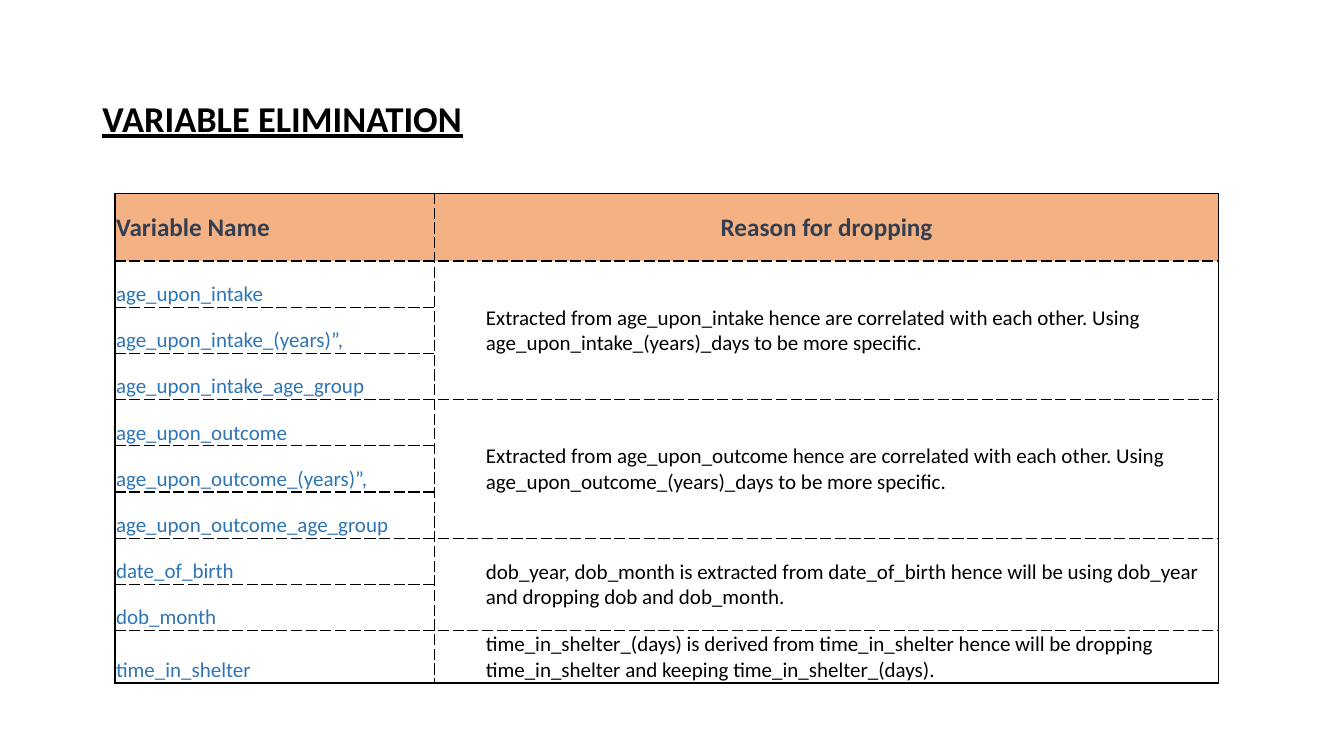
from dataclasses import dataclass

from lxml import etree
from pptx import Presentation
from pptx import util as u
from pptx.dml.color import RGBColor
from pptx.enum import text
from pptx.oxml import ns

Pt = u.Pt
BLACK = RGBColor(0x00, 0x00, 0x00)
BLUE = RGBColor(0x2E, 0x75, 0xB6)
SLATE = RGBColor(0x33, 0x3F, 0x50)
ORANGE = RGBColor(0xF4, 0xB1, 0x83)
LEFT, CENTER = text.PP_ALIGN.LEFT, text.PP_ALIGN.CENTER
MIDDLE, BOTTOM = text.MSO_ANCHOR.MIDDLE, text.MSO_ANCHOR.BOTTOM

TITLE_FONT = {"name": "Calibri", "size": Pt(26), "bold": True, "underline": True}
HEAD_FONT = {"name": "Calibri", "size": Pt(18), "bold": True}
BODY_FONT = {"name": "Calibri", "size": Pt(15), "bold": False}
CELL_FORMAT = {"margin_left": Pt(0.7), "margin_right": Pt(0.7),
               "margin_top": Pt(0.7), "margin_bottom": Pt(0)}
COLUMN_WIDTHS = (228.2, 560.2)
HEAD_HEIGHT, ROW_HEIGHT, LAST_HEIGHT = 48.2, 33, 37


@dataclass
class Group:
    """Variables dropped for one shared reason."""
    names: list[str]
    reason: str
    anchor: text.MSO_ANCHOR = MIDDLE


GROUPS = [
    Group(["age_upon_intake", "age_upon_intake_(years)”,", "age_upon_intake_age_group"],
          "Extracted from age_upon_intake hence are correlated with each other. "
          "Using age_upon_intake_(years)_days to be more specific."),
    Group(["age_upon_outcome", "age_upon_outcome_(years)”,", "age_upon_outcome_age_group"],
          "Extracted from age_upon_outcome hence are correlated with each other. "
          "Using age_upon_outcome_(years)_days to be more specific."),
    Group(["date_of_birth", "dob_month"],
          "dob_year, dob_month is extracted from date_of_birth hence will be using "
          "dob_year and dropping dob and dob_month."),
    Group(["time_in_shelter"],
          "time_in_shelter_(days) is derived from time_in_shelter hence will be "
          "dropping time_in_shelter and keeping time_in_shelter_(days).", BOTTOM),
]


def set_all(obj: object, values: dict) -> None:
    for name, value in values.items():
        setattr(obj, name, value)


def write(p, words: str, font: dict, color: RGBColor, align=LEFT) -> None:
    p.alignment = align
    r = p.add_run()
    r.text = words
    set_all(r.font, font)
    r.font.color.rgb = color


def fill_cell(cell, words: str, font: dict, color: RGBColor, anchor,
              align=LEFT, indent: float = 0) -> None:
    set_all(cell, CELL_FORMAT)
    cell.vertical_anchor = anchor
    p = cell.text_frame.paragraphs[0]
    write(p, words, font, color, align)
    if indent:
        p.level = 1
        pPr = p._p.get_or_add_pPr()
        pPr.set("marL", str(Pt(indent)))
        pPr.set("indent", "0")


def add_borders(cell, solid_sides: dict[str, bool]) -> None:
    """Draw each side of a cell solid or dashed, ahead of its fill."""
    tcPr = cell._tc.get_or_add_tcPr()
    for i, (side, solid) in enumerate(solid_sides.items()):
        ln = etree.Element(ns.qn(f"a:ln{side}"), w=str(Pt(1)))
        fill = etree.SubElement(ln, ns.qn("a:solidFill"))
        etree.SubElement(fill, ns.qn("a:srgbClr"), val=str(BLACK))
        etree.SubElement(ln, ns.qn("a:prstDash"), val="solid" if solid else "sysDash")
        tcPr.insert(i, ln)


def add_variable_table(s) -> None:
    last = sum(len(group.names) for group in GROUPS)
    heights = [HEAD_HEIGHT] + [ROW_HEIGHT] * (last - 1) + [LAST_HEIGHT]
    table = s.shapes.add_table(last + 1, 2, Pt(82.2), Pt(138.3),
                               Pt(sum(COLUMN_WIDTHS)), Pt(sum(heights))).table
    set_all(table, {"first_row": False, "horz_banding": False})
    for column, width in zip(table.columns, COLUMN_WIDTHS):
        column.width = Pt(width)
    for row, height in zip(table.rows, heights):
        row.height = Pt(height)

    # Header row
    fill_cell(table.cell(0, 0), "Variable Name", HEAD_FONT, SLATE, MIDDLE)
    fill_cell(table.cell(0, 1), "Reason for dropping", HEAD_FONT, SLATE, MIDDLE, CENTER)

    # Variables, with one merged reason per group
    top = 1
    for group in GROUPS:
        for i, name in enumerate(group.names):
            fill_cell(table.cell(top + i, 0), name, BODY_FONT, BLUE, BOTTOM)
        reason = table.cell(top, 1)
        if len(group.names) > 1:
            reason.merge(table.cell(top + len(group.names) - 1, 1))
        fill_cell(reason, group.reason, BODY_FONT, BLACK, group.anchor, indent=36)
        top += len(group.names)

    # Fills, solid outer frame and dashed inner lines
    for row in range(last + 1):
        for col in range(2):
            cell = table.cell(row, col)
            if row == 0:
                cell.fill.solid()
                cell.fill.fore_color.rgb = ORANGE
            else:
                cell.fill.background()
            add_borders(cell, {"L": col == 0, "R": col == 1,
                               "T": row == 0, "B": row == last})


def main() -> None:
    prs = Presentation()
    set_all(prs, {"slide_width": Pt(960), "slide_height": Pt(540)})
    s = prs.slides.add_slide(prs.slide_layouts[5])

    # Title
    title = s.shapes.title
    set_all(title, {"left": Pt(66), "top": Pt(33.8), "width": Pt(828), "height": Pt(104.4)})
    tf = title.text_frame
    set_all(tf, {"vertical_anchor": MIDDLE, "word_wrap": True})
    tf.paragraphs[0].line_spacing = 0.9
    write(tf.paragraphs[0], "VARIABLE ELIMINATION", TITLE_FONT, BLACK)

    add_variable_table(s)
    prs.save("out.pptx")


if __name__ == "__main__":
    main()
